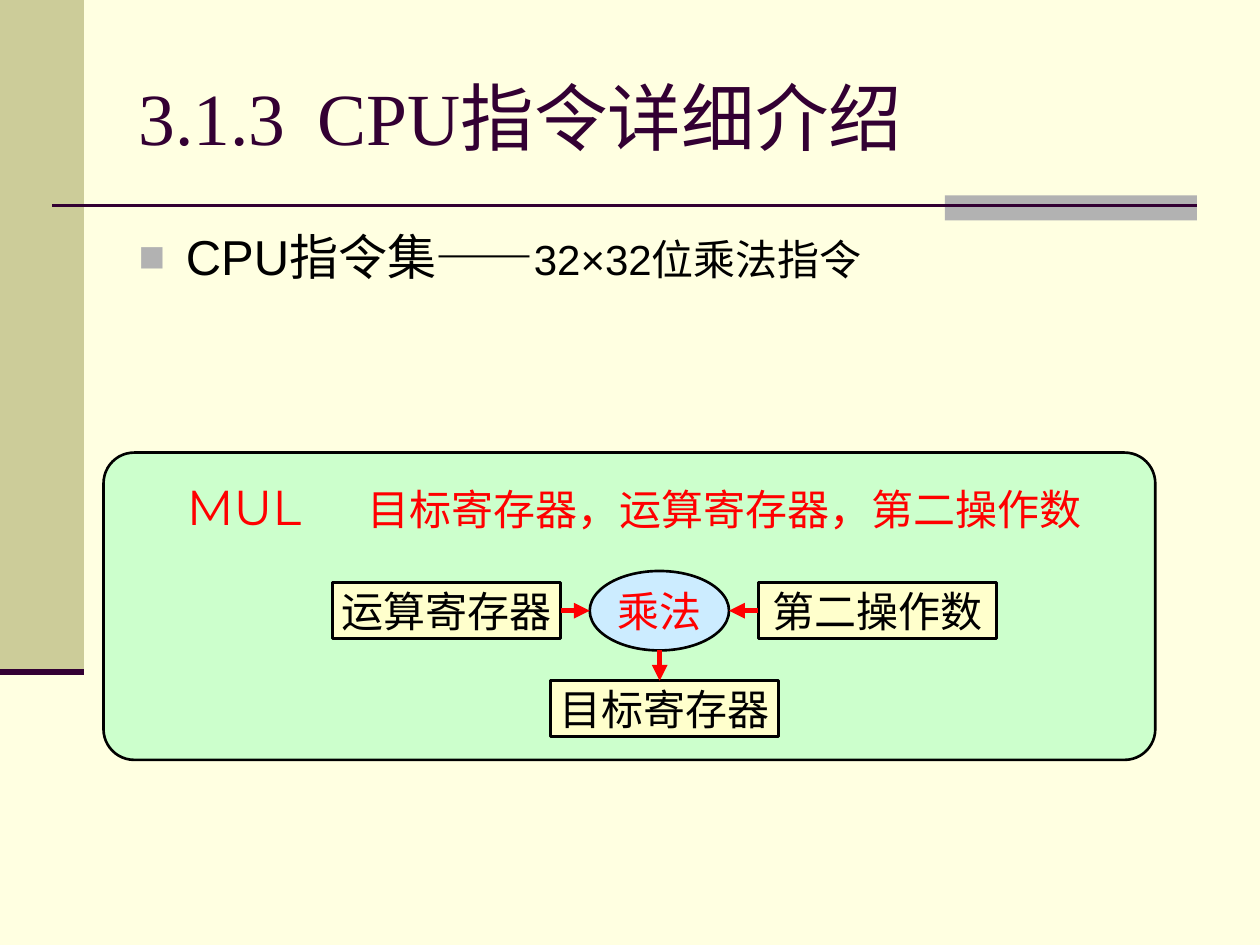
from lxml import etree
from pptx import Presentation
from pptx.dml.color import RGBColor
from pptx.enum import shapes, text
from pptx.oxml import ns
from pptx.util import Pt

COLORS = {
    "page": "FFFFE1", "band": "CCCC99", "gray": "B2B2B2", "plum": "330033",
    "panel": "CCFFCC", "register": "FFFFCC", "operation": "CCECFF",
    "red": "FF0000", "black": "000000",
}
SHAPE = shapes.MSO_SHAPE
ALIGN = text.PP_ALIGN
ANCHOR = text.MSO_ANCHOR


def rgb(name):
    return RGBColor.from_string(COLORS[name])


def add_xml(parent, tag, **attributes):
    return etree.SubElement(parent, ns.qn(tag), attributes)


class SlideBuilder:
    """Holds the style and the current slide."""
    border = 1.5
    serif, sans, display = "Times New Roman", "Arial", "Montserrat"

    def __init__(self, slide):
        self.slide = slide
        slide.background.fill.solid()
        slide.background.fill.fore_color.rgb = rgb("page")

    def font(self, target, size, name, color):
        font = target.font
        font.size, font.name, font.color.rgb = Pt(size), name, rgb(color)

    def placeholder(self, index, box, anchor):
        holder = self.slide.placeholders[index]
        holder.left, holder.top, holder.width, holder.height = map(Pt, box)
        frame = holder.text_frame
        frame.auto_size = text.MSO_AUTO_SIZE.NONE
        frame.vertical_anchor = anchor
        paragraph = frame.paragraphs[0]
        paragraph.alignment = ALIGN.LEFT
        paragraph.space_before = Pt(0)
        return paragraph

    def tab(self, paragraph, position):
        stops = add_xml(paragraph._p.get_or_add_pPr(), "a:tabLst")
        add_xml(stops, "a:tab", pos=str(Pt(position)), algn="l")

    def bullet(self, paragraph, char, color, percent, indent):
        props = paragraph._p.get_or_add_pPr()
        props.set("marL", str(Pt(indent)))
        props.set("indent", str(-Pt(indent)))
        add_xml(add_xml(props, "a:buClr"), "a:srgbClr", val=COLORS[color])
        add_xml(props, "a:buSzPct", val=str(percent * 1000))
        add_xml(props, "a:buFont", typeface=self.sans)
        add_xml(props, "a:buChar", char=char)

    def shape(self, kind, box, fill, outline=None):
        shape = self.slide.shapes.add_shape(kind, *map(Pt, box))
        shape.shadow.inherit = False
        shape.fill.solid()
        shape.fill.fore_color.rgb = rgb(fill)
        if outline:
            shape.line.color.rgb = rgb(outline)
            shape.line.width = Pt(self.border)
        else:
            shape.line.fill.background()
        return shape

    def node(self, kind, box, fill, label, color="black"):
        node = self.shape(kind, box, fill, "black")
        frame = node.text_frame
        frame.word_wrap = False
        frame.vertical_anchor = ANCHOR.MIDDLE
        paragraph = frame.paragraphs[0]
        paragraph.text = label
        paragraph.alignment = ALIGN.CENTER
        self.font(paragraph, 24, self.serif, color)
        return node

    def textbox(self, box, left_inset):
        frame = self.slide.shapes.add_textbox(*map(Pt, box)).text_frame
        frame.word_wrap = True
        frame.margin_left = Pt(left_inset)
        return frame.paragraphs[0]

    def line(self, start, end, color, width):
        line = self.slide.shapes.add_connector(
            shapes.MSO_CONNECTOR.STRAIGHT, *map(Pt, (*start, *end)))
        line.line.color.rgb = rgb(color)
        line.line.width = Pt(width)
        add_xml(line._element.spPr, "a:effectLst")
        return line

    def arrow(self, start, end):
        arrow = self.line(start, end, "red", 3)
        add_xml(arrow.line._get_or_add_ln(), "a:tailEnd", type="triangle")
        return arrow


def main():
    deck = Presentation()
    deck.slide_width, deck.slide_height = Pt(720), Pt(540)
    page = SlideBuilder(deck.slides.add_slide(deck.slide_layouts[1]))

    # Page decoration
    page.shape(SHAPE.RECTANGLE, (0, 0, 48, 384), "band")
    page.shape(SHAPE.RECTANGLE, (540, 111.6, 144, 14.4), "gray")
    page.line((30, 117.6), (684, 117.6), "plum", 1.5)
    page.line((0, 384), (48, 384), "plum", 3.5)

    # Title
    title = page.placeholder(0, (72, 21.6, 612, 90), ANCHOR.MIDDLE)
    page.tab(title, 102.5)
    title.text = "3.1.3\tCPU指令详细介绍"
    page.font(title, 42, page.serif, "plum")

    # Topic
    topic = page.placeholder(1, (72, 126, 612, 60), ANCHOR.TOP)
    page.bullet(topic, "■", "gray", 90, 27)
    for words, size in (("CPU指令集——", 28), ("32×32位乘法指令", 24)):
        run = topic.add_run()
        run.text = words
        page.font(run, size, page.sans, "black")

    # Instruction panel and syntax
    panel = page.shape(SHAPE.ROUNDED_RECTANGLE, (59.2, 258.6, 601, 175.6),
                       "panel", "black")
    panel.adjustments[0] = 0.1
    syntax = page.textbox((64.8, 268.6, 595.4, 41), 42)
    page.tab(syntax, 103)
    for words, size in (("MUL\t", 28), ("目标寄存器，运算寄存器，第二操作数", 24)):
        run = syntax.add_run()
        run.text = words
        page.font(run, size, page.display, "red")

    # Data flow
    middle, node_height = 349, 32
    node_top = middle - node_height / 2
    source = page.node(SHAPE.RECTANGLE, (190, node_top, 130.4, node_height),
                       "register", "运算寄存器")
    operand = page.node(SHAPE.RECTANGLE, (433.4, node_top, 136, node_height),
                        "register", "第二操作数")
    page.node(SHAPE.OVAL, (337, middle - 22.7, 79.6, 45.4),
              "operation", "乘法", "red")
    page.node(SHAPE.RECTANGLE, (314.6, 389, 130.4, node_height),
              "register", "目标寄存器")

    page.arrow((320.4, middle), (337, middle)).begin_connect(source, 3)
    page.arrow((433.4, middle), (416.6, middle)).begin_connect(operand, 1)
    page.arrow((377, middle + 22.7), (377, 389))

    deck.save("out.pptx")


if __name__ == "__main__":
    main()
